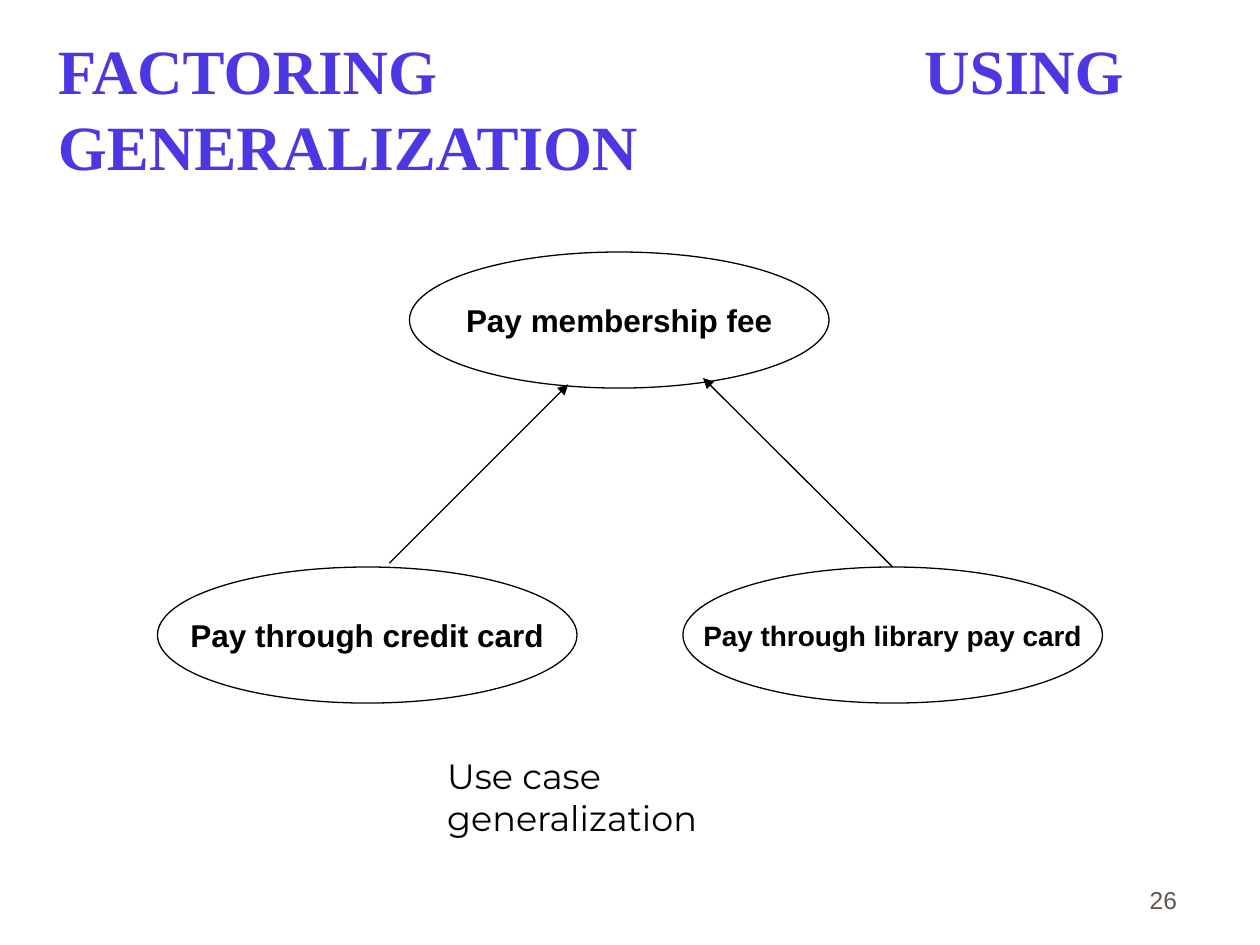
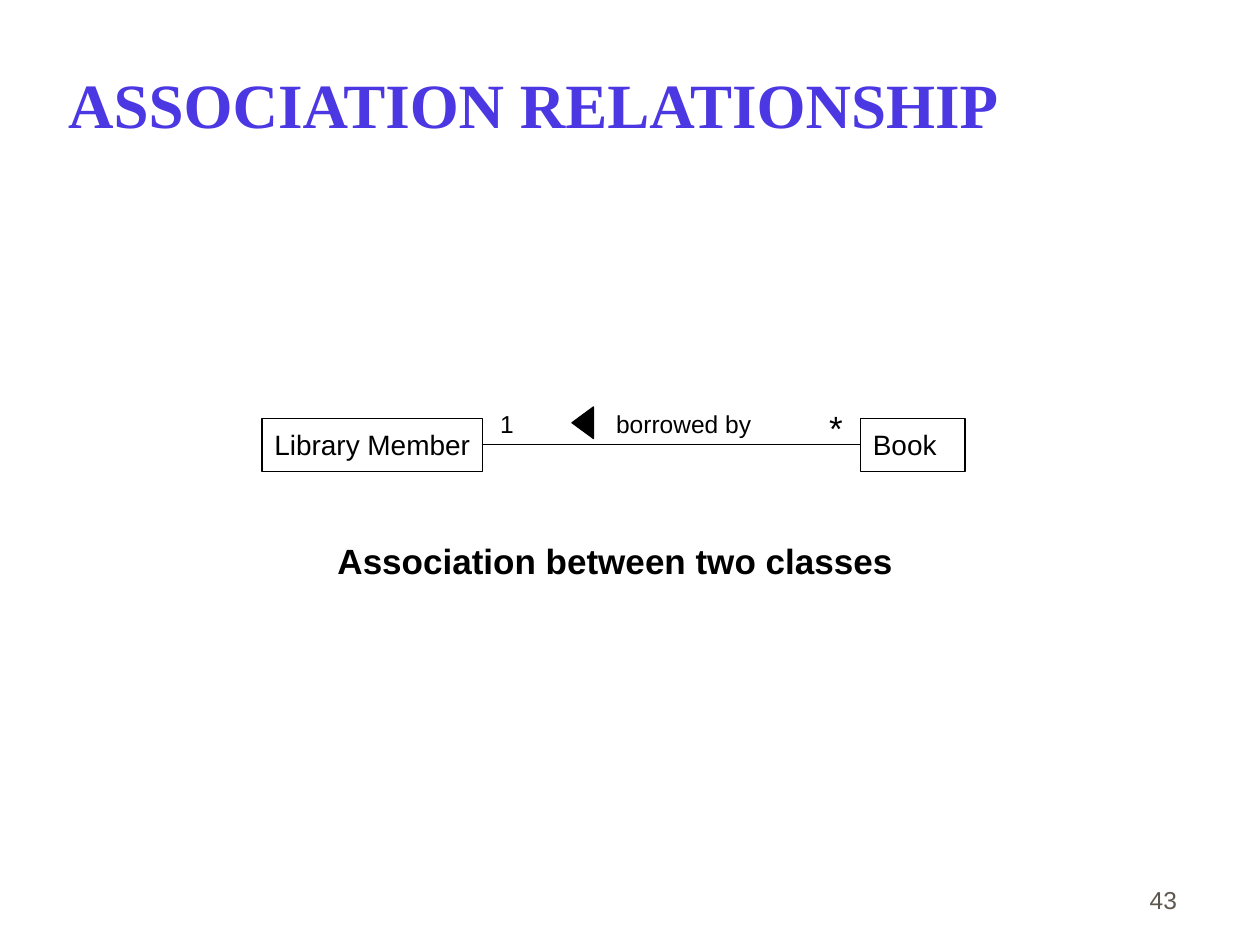
from dataclasses import dataclass

import lxml.etree
import pptx
import pptx.dml.color
import pptx.enum.shapes
import pptx.enum.text
import pptx.oxml.ns
import pptx.util

Inches = pptx.util.Inches
Align = pptx.enum.text.PP_ALIGN
Anchor = pptx.enum.text.MSO_ANCHOR
Shape = pptx.enum.shapes.MSO_SHAPE


@dataclass(frozen=True)
class Theme:
    title_color: str = "4C38E2"
    number_color: str = "5E574E"
    ink: str = "000000"
    title_font: str = "Times New Roman"
    body_font: str = "Arial"
    caption_font: str = "Montserrat"
    title_size: int = 36
    caption_size: int = 20
    case_size: int = 18
    class_size: int = 16
    small_size: int = 14
    line_width: float = 0.75


def rgb(value):
    return pptx.dml.color.RGBColor.from_string(value)


class Deck:
    def __init__(self, theme):
        self.theme = theme
        self.prs = pptx.Presentation()
        self.prs.slide_width, self.prs.slide_height = Inches(10), Inches(7.5)
        self.slide = None

    def fill_text(self, shape, text, size, font=None, color=None, bold=False,
                  align=Align.LEFT, anchor=Anchor.TOP, wrap=False,
                  margins=(0.1, 0.05, 0.1, 0.05)):
        """Fill a shape with one formatted run; margins are left, top, right, bottom."""
        frame = shape.text_frame
        frame.auto_size = pptx.enum.text.MSO_AUTO_SIZE.NONE
        frame.word_wrap = wrap
        frame.vertical_anchor = anchor
        (frame.margin_left, frame.margin_top,
         frame.margin_right, frame.margin_bottom) = map(Inches, margins)
        paragraph = frame.paragraphs[0]
        paragraph.alignment = align
        run = paragraph.add_run()
        run.text = text
        run.font.size = pptx.util.Pt(size)
        run.font.name = font or self.theme.body_font
        run.font.bold = bold
        run.font.color.rgb = rgb(color or self.theme.ink)

    def start(self, title, number, left, top, align=Align.LEFT, inset=0.02):
        """Open a slide with its title and page number."""
        theme = self.theme
        self.slide = self.prs.slides.add_slide(self.prs.slide_layouts[5])
        heading = self.slide.shapes.title
        heading.left, heading.top = Inches(left), Inches(top)
        heading.width, heading.height = Inches(8.5), Inches(1.25)
        self.fill_text(heading, title, theme.title_size, theme.title_font,
                       theme.title_color, True, align, Anchor.MIDDLE, True,
                       (inset, 0.05, 0.02, 0))
        self.text(number, (7.36, 6.81, 2.08, 0.5), theme.small_size,
                  color=theme.number_color, align=Align.RIGHT,
                  anchor=Anchor.BOTTOM, wrap=True)

    def text(self, text, box, size, **style):
        self.fill_text(self.slide.shapes.add_textbox(*map(Inches, box)),
                       text, size, **style)

    def outline(self, line):
        line.color.rgb = rgb(self.theme.ink)
        line.width = pptx.util.Pt(self.theme.line_width)

    def shape(self, kind, box, fill=None):
        shape = self.slide.shapes.add_shape(kind, *map(Inches, box))
        shape.shadow.inherit = False
        if fill:
            shape.fill.solid()
            shape.fill.fore_color.rgb = rgb(fill)
        else:
            shape.fill.background()
        self.outline(shape.line)
        return shape

    def use_case(self, text, left, top, size):
        case = self.shape(Shape.OVAL, (left, top, 3.33, 1.08))
        self.fill_text(case, text, size, bold=True, align=Align.CENTER,
                       anchor=Anchor.MIDDLE)
        return case

    def class_box(self, text, left, width):
        box = self.shape(Shape.RECTANGLE, (left, 3.32, width, 0.42))
        self.fill_text(box, text, self.theme.class_size, anchor=Anchor.MIDDLE,
                       wrap=True, margins=(0.1, 0.05, 0, 0.05))
        return box

    def label(self, text, left, top, width, height, size):
        self.text(text, (left, top, width, height), size, margins=(0, 0, 0, 0))

    def link(self, start, end, arrow=False):
        connector = self.slide.shapes.add_connector(
            pptx.enum.shapes.MSO_CONNECTOR.STRAIGHT, *map(Inches, start + end))
        self.outline(connector.line)
        qn = pptx.oxml.ns.qn
        properties = connector.element.spPr
        if arrow:
            lxml.etree.SubElement(properties.find(qn("a:ln")),
                                  qn("a:tailEnd"), type="triangle")
        lxml.etree.SubElement(properties, qn("a:effectLst"))
        return connector


def generalization(deck):
    theme = deck.theme
    deck.start("FACTORING USING GENERALIZATION", "26", 0.44, 0.2, Align.JUSTIFY)
    deck.use_case("Pay membership fee", 3.25, 2, theme.case_size)
    library_card = deck.use_case("Pay through library pay card", 5.42, 4.5,
                                 theme.class_size)
    deck.use_case("Pay through credit card", 1.25, 4.5, theme.case_size)
    deck.link((3.09, 4.47), (4.51, 3.05), arrow=True)
    library_link = deck.link((7.08, 4.5), (5.58, 3), arrow=True)
    library_link.begin_connect(library_card, 0)
    deck.text("Use case generalization", (3.45, 5.94, 3.29, 0.44),
              theme.caption_size, font=theme.caption_font, wrap=True)


def association(deck):
    theme = deck.theme
    deck.start("ASSOCIATION RELATIONSHIP", "43", 0.42, 0.17, inset=0.12)
    deck.text("Association between two classes", (2.58, 4.23, 4.61, 0.44),
              theme.caption_size, bold=True, wrap=True)
    member = deck.class_box("Library Member", 2.08, 1.75)
    book = deck.class_box("Book", 6.83, 0.83)
    borrowing = deck.link((3.83, 3.53), (6.83, 3.53))
    borrowing.begin_connect(member, 3)
    borrowing.end_connect(book, 1)
    direction = deck.shape(Shape.ISOSCELES_TRIANGLE, (4.5, 3.27, 0.25, 0.17),
                           theme.ink)
    direction.rotation = 270
    deck.label("1", 3.97, 3.25, 0.11, 0.23, theme.small_size)
    deck.label("*", 6.58, 3.23, 0.11, 0.33, theme.caption_size)
    deck.label("borrowed by", 4.89, 3.25, 1.07, 0.23, theme.small_size)


def main():
    deck = Deck(Theme())
    generalization(deck)
    association(deck)
    deck.prs.save("out.pptx")


if __name__ == "__main__":
    main()
